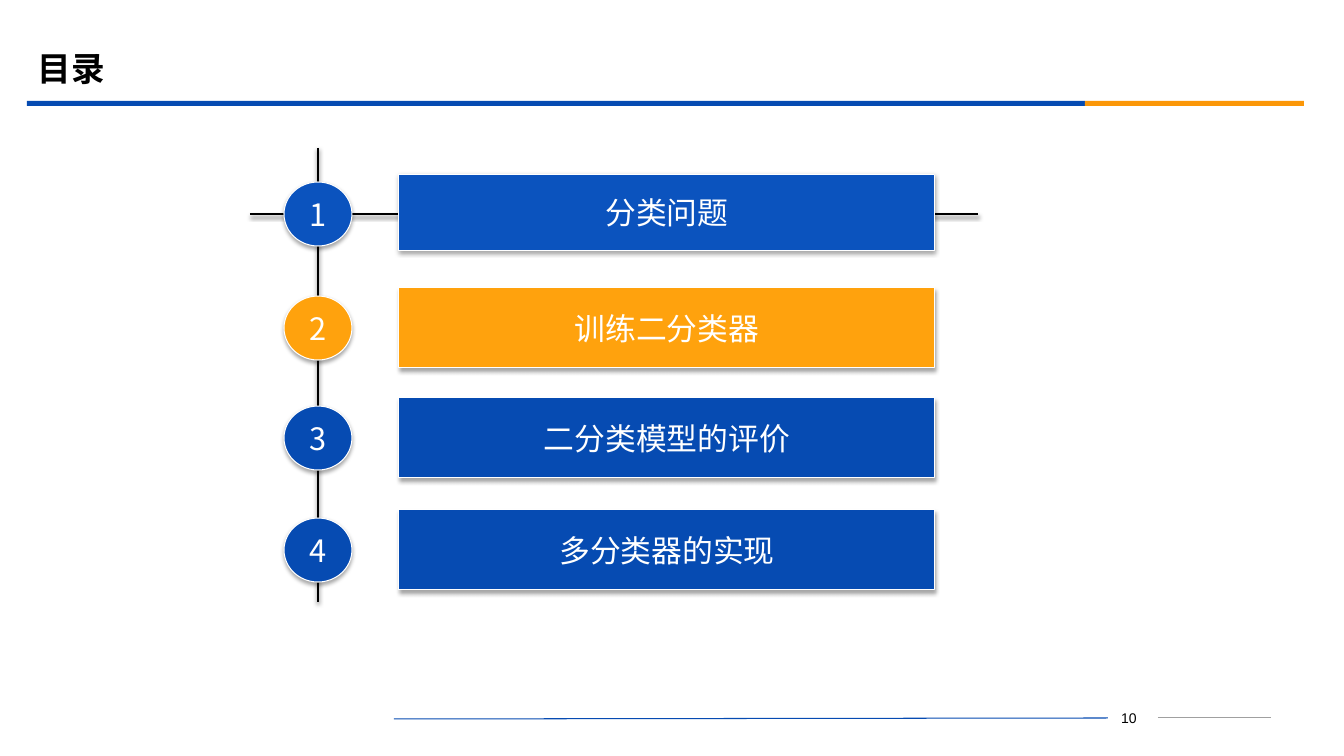
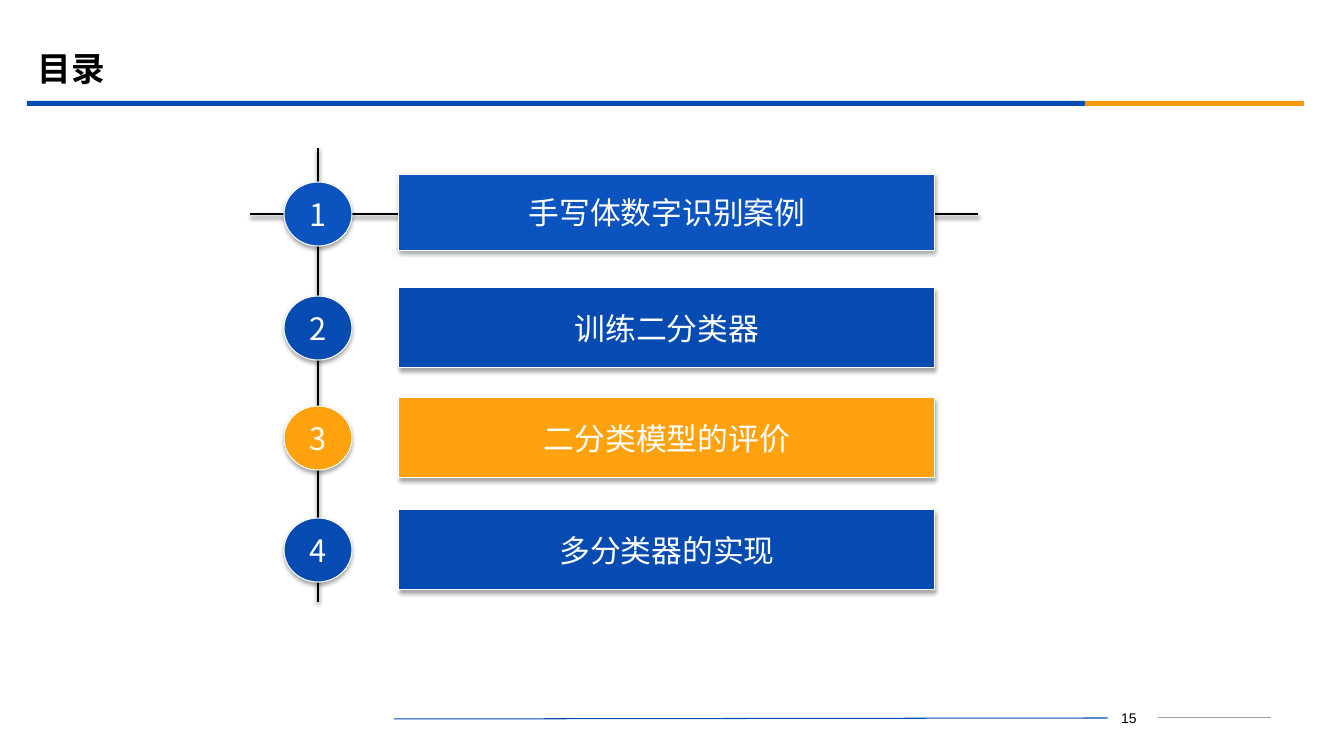
from collections import namedtuple
from dataclasses import dataclass

from lxml import etree
from pptx import Presentation
from pptx import util as u
from pptx.dml import color
from pptx.enum import shapes, text
from pptx.oxml import ns

PX = 914400 / 100.8
Box = namedtuple("Box", "left top width height")
Shadow = namedtuple("Shadow", "alpha blur distance")


@dataclass(frozen=True)
class Theme:
    blue: str = "064BB2"
    first_blue: str = "0B53BE"
    active: str = "FFA20D"
    accent: str = "FB9708"
    ink: str = "000000"
    paper: str = "FFFFFF"
    grey: str = "A0A0A0"
    title_font: str = "Montserrat"
    body_font: str = "Noto Sans CJK SC"
    number_font: str = "Arial"
    title_size: int = 24
    body_size: int = 22
    number_size: int = 10
    hairline: float = 0.75
    spine: float = 2
    shape_shadow: Shadow = Shadow(35, 3.1, 1.8)
    line_shadow: Shadow = Shadow(38, 3.1, 1.6)


THEME = Theme()
SLIDE = Box(0, 0, 1344, 756)
TITLE = Box(28, 39, 1210, 58)
BAND = Box(27, 101, 1277, 5)
FOOTER = Box(394, 705, 877, 25)
AGENDA = Box(250, 148, 728, 454)
BARS = ((26, 76), (140, 80), (250, 80), (362, 80))


def px(value):
    return u.Emu(round(value * PX))


def rgb(value):
    return color.RGBColor.from_string(value)


def set_shadow(item, shadow=None):
    properties = item._element.spPr
    effects = properties.find(ns.qn("a:effectLst"))
    if effects is None:
        effects = etree.SubElement(properties, ns.qn("a:effectLst"))
    if shadow is None:
        return
    outer = etree.SubElement(
        effects, ns.qn("a:outerShdw"),
        blurRad=str(u.Pt(shadow.blur)), dist=str(u.Pt(shadow.distance)),
        dir="5400000", algn="ctr", rotWithShape="0")
    tint = etree.SubElement(outer, ns.qn("a:srgbClr"), val=THEME.ink)
    etree.SubElement(tint, ns.qn("a:alpha"), val=str(shadow.alpha * 1000))


def write(shape, words, font, size, ink, align, anchor, wrap=True, bold=False):
    frame = shape.text_frame
    frame.word_wrap = wrap
    frame.vertical_anchor = anchor
    paragraph = frame.paragraphs[0]
    paragraph.alignment = align
    run = paragraph.add_run()
    run.text = words
    run.font.name = font
    run.font.size = u.Pt(size)
    run.font.bold = bold
    run.font.color.rgb = rgb(ink)
    etree.SubElement(run.font._element, ns.qn("a:ea"), typeface=THEME.body_font)


def add_line(slide, start, end, ink, width, shadow=None):
    line = slide.shapes.add_connector(
        shapes.MSO_CONNECTOR.STRAIGHT, *map(px, (*start, *end)))
    line.line.color.rgb = rgb(ink)
    line.line.width = u.Pt(width)
    set_shadow(line, shadow)


def add_shape(slide, kind, box, fill, outline=None, shadow=None):
    shape = slide.shapes.add_shape(kind, *map(px, box))
    shape.fill.solid()
    shape.fill.fore_color.rgb = rgb(fill)
    if outline:
        shape.line.color.rgb = rgb(outline)
        shape.line.width = u.Pt(THEME.hairline)
    else:
        shape.line.fill.background()
    shape.shadow.inherit = False
    set_shadow(shape, shadow)
    return shape


def add_title(slide, box, words):
    title = slide.shapes.add_textbox(*map(px, box))
    write(title, words, THEME.title_font, THEME.title_size, THEME.ink,
          text.PP_ALIGN.LEFT, text.MSO_ANCHOR.MIDDLE, bold=True)


def add_band(slide, box):
    split = 1058
    rectangle = shapes.MSO_SHAPE.RECTANGLE
    add_shape(slide, rectangle, box._replace(width=split), THEME.blue)
    add_shape(slide, rectangle,
              box._replace(left=box.left + split, width=box.width - split), THEME.accent)


def add_footer(slide, box, number):
    right = box.left + box.width
    rule = box.top + 13
    add_line(slide, (box.left, rule + 1), (box.left + 714, rule), THEME.blue, THEME.hairline)
    add_line(slide, (right - 113, rule), (right, rule), THEME.grey, THEME.hairline)
    label = slide.shapes.add_textbox(
        *map(px, (box.left + 704, box.top, 62, box.height)))
    write(label, str(number), THEME.number_font, THEME.number_size, THEME.ink,
          text.PP_ALIGN.CENTER, text.MSO_ANCHOR.TOP)


def add_agenda(slide, box, topics, active):
    spine = box.left + 68
    rail = box.top + 66
    for start, end in (
        ((spine, box.top), (spine, box.top + box.height)),
        ((box.left, rail), (box.left + box.width, rail)),
    ):
        add_line(slide, start, end, THEME.ink, THEME.spine, THEME.line_shadow)
    for number, (topic, (offset, height)) in enumerate(zip(topics, BARS), 1):
        fill = THEME.first_blue if number == 1 else THEME.blue
        if number == active:
            fill = THEME.active
        top = box.top + offset
        bar = Box(box.left + 149, top, 536, height)
        badge = Box(spine - 34, top + 8, 68, 64)
        for kind, place, words in (
            (shapes.MSO_SHAPE.ACTION_BUTTON_CUSTOM, bar, topic),
            (shapes.MSO_SHAPE.OVAL, badge, str(number)),
        ):
            shape = add_shape(slide, kind, place, fill, THEME.paper, THEME.shape_shadow)
            write(shape, words, THEME.body_font, THEME.body_size, THEME.paper,
                  text.PP_ALIGN.CENTER, text.MSO_ANCHOR.MIDDLE, wrap=False)


def add_agenda_slide(presentation, number, first_topic, active):
    slide = presentation.slides.add_slide(presentation.slide_layouts[6])
    add_band(slide, BAND)
    add_footer(slide, FOOTER, number)
    add_title(slide, TITLE, "目录")
    topics = (first_topic, "训练二分类器", "二分类模型的评价", "多分类器的实现")
    add_agenda(slide, AGENDA, topics, active)


def main():
    presentation = Presentation()
    presentation.slide_width = px(SLIDE.width)
    presentation.slide_height = px(SLIDE.height)
    add_agenda_slide(presentation, 10, "分类问题", active=2)
    add_agenda_slide(presentation, 15, "手写体数字识别案例", active=3)
    presentation.save("out.pptx")


if __name__ == "__main__":
    main()
